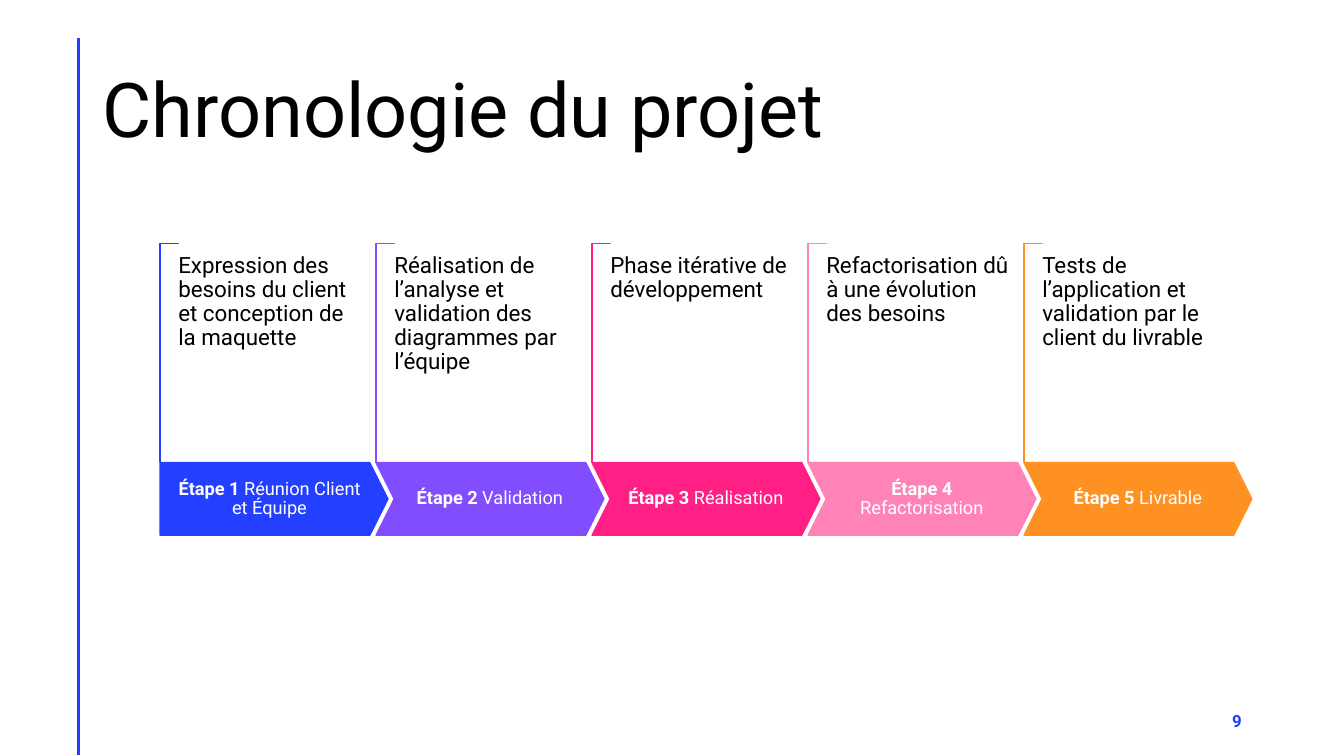
from dataclasses import dataclass

from lxml import etree
from pptx import Presentation
from pptx.dml.color import RGBColor
from pptx.enum.shapes import MSO_CONNECTOR, MSO_SHAPE
from pptx.enum.text import MSO_ANCHOR, MSO_AUTO_SIZE, PP_ALIGN
from pptx.oxml.ns import qn
from pptx.util import Pt

CORNER, PENTAGON, CHEVRON = MSO_SHAPE.CORNER, MSO_SHAPE.PENTAGON, MSO_SHAPE.CHEVRON
LEFT, CENTER, RIGHT = PP_ALIGN.LEFT, PP_ALIGN.CENTER, PP_ALIGN.RIGHT
TOP, MIDDLE = MSO_ANCHOR.TOP, MSO_ANCHOR.MIDDLE

FONT = "Roboto"
BLUE, BLACK, WHITE = "243FFF", "000000", "FFFFFF"

FIRST_X, PITCH = 114.4, 154.28
ARROW_Y, ARROW_W, ARROW_H = 330.5, 162.7, 51.8
BRACKET_H, BRACKET_W = 156.2, 13
BRACKET_MID_Y = 252
INDENT = 13


@dataclass
class Step:
    number: int
    name: str
    description: str
    color: str


STEPS = [
    Step(1, "Réunion Client et Équipe",
         "Expression des besoins du client et conception de la maquette", BLUE),
    Step(2, "Validation",
         "Réalisation de l’analyse et validation des diagrammes par l’équipe", "814DFF"),
    Step(3, "Réalisation", "Phase itérative de développement", "FF1F85"),
    Step(4, "Refactorisation",
         "Refactorisation dû à une évolution des besoins", "FF83B6"),
    Step(5, "Livrable",
         "Tests de l’application et validation par le client du livrable", "FF9022"),
]


def rgb(color: str) -> RGBColor:
    return RGBColor.from_string(color)


def place(sp, x: float, y: float, w: float, h: float) -> None:
    sp.left, sp.top, sp.width, sp.height = Pt(x), Pt(y), Pt(w), Pt(h)


def write(sp, runs: list[tuple[str, bool]], size: float, color: str, align=LEFT,
          anchor=TOP, insets: tuple[float, float] = (0, 0), spacing: float = 0.9) -> None:
    """Fill the shape with one paragraph made of (text, bold) runs."""
    tf = sp.text_frame
    tf.word_wrap = True
    tf.auto_size = MSO_AUTO_SIZE.NONE
    tf.vertical_anchor = anchor
    tf.margin_left = tf.margin_right = Pt(insets[0])
    tf.margin_top = tf.margin_bottom = Pt(insets[1])
    p = tf.paragraphs[0]
    p.alignment = align
    p.line_spacing = spacing
    for text, bold in runs:
        r = p.add_run()
        r.text = text
        r.font.name, r.font.size, r.font.bold = FONT, Pt(size), bold
        r.font.color.rgb = rgb(color)


def add_text_box(shapes, x: float, y: float, w: float, h: float):
    return shapes.add_textbox(Pt(x), Pt(y), Pt(w), Pt(h))


def add_outline(shapes, kind, x: float, y: float, w: float, h: float,
                fill: str, line: str, adjustments: list[float]):
    sp = shapes.add_shape(kind, Pt(x), Pt(y), Pt(w), Pt(h))
    sp.shadow.inherit = False
    sp.fill.solid()
    sp.fill.fore_color.rgb = rgb(fill)
    sp.line.color.rgb = rgb(line)
    sp.line.width = Pt(1)
    for i, value in enumerate(adjustments):
        sp.adjustments[i] = value
    return sp


def add_step(shapes, step: Step, index: int) -> None:
    x = FIRST_X + index * PITCH
    first = index == 0
    # The bracket is a corner turned a quarter, so its box is laid out sideways.
    bracket = add_outline(shapes, CORNER, x + (BRACKET_W - BRACKET_H) / 2,
                          BRACKET_MID_Y - BRACKET_W / 2, BRACKET_H, BRACKET_W,
                          WHITE, step.color, [0.01, 0.01])
    bracket.rotation = 90
    add_outline(shapes, PENTAGON if first else CHEVRON, x, ARROW_Y, ARROW_W, ARROW_H,
                step.color, step.color, [0.25])
    label_x, label_w = (x, 156.2) if first else (x + INDENT, 136.4)
    label = add_text_box(shapes, label_x, ARROW_Y, label_w, ARROW_H)
    write(label, [(f"Étape {step.number} ", True), (step.name, False)], 13, WHITE,
          CENTER, MIDDLE, (6.5, 13))
    description = add_text_box(shapes, x + INDENT, 181.4, 131.8, 111.6)
    write(description, [(step.description, False)], 16, BLACK)


def add_rule(s) -> None:
    rule = s.shapes.add_connector(MSO_CONNECTOR.STRAIGHT, Pt(56.2), Pt(27.5),
                                  Pt(56.2), Pt(539.5))
    rule.line.color.rgb = rgb(BLUE)
    rule.line.width = Pt(2)
    etree.SubElement(rule.element.spPr, qn("a:effectLst"))


def main() -> None:
    prs = Presentation()
    prs.slide_width, prs.slide_height = Pt(960), Pt(540)
    s = prs.slides.add_slide(prs.slide_layouts[5])

    add_rule(s)
    title = s.shapes.title
    place(title, 66.2, 28.8, 828, 104.4)
    write(title, [("Chronologie du projet", False)], 54, BLACK, LEFT, MIDDLE, (7.2, 3.6))

    page_number = add_text_box(s.shapes, 678.2, 500.4, 216, 28.8)
    write(page_number, [("9", True)], 12, BLUE, RIGHT, MIDDLE, (7.2, 3.6), 1.0)

    timeline = s.shapes.add_group_shape()
    for index, step in enumerate(STEPS):
        add_step(timeline.shapes, step, index)

    prs.save("out.pptx")


if __name__ == "__main__":
    main()
